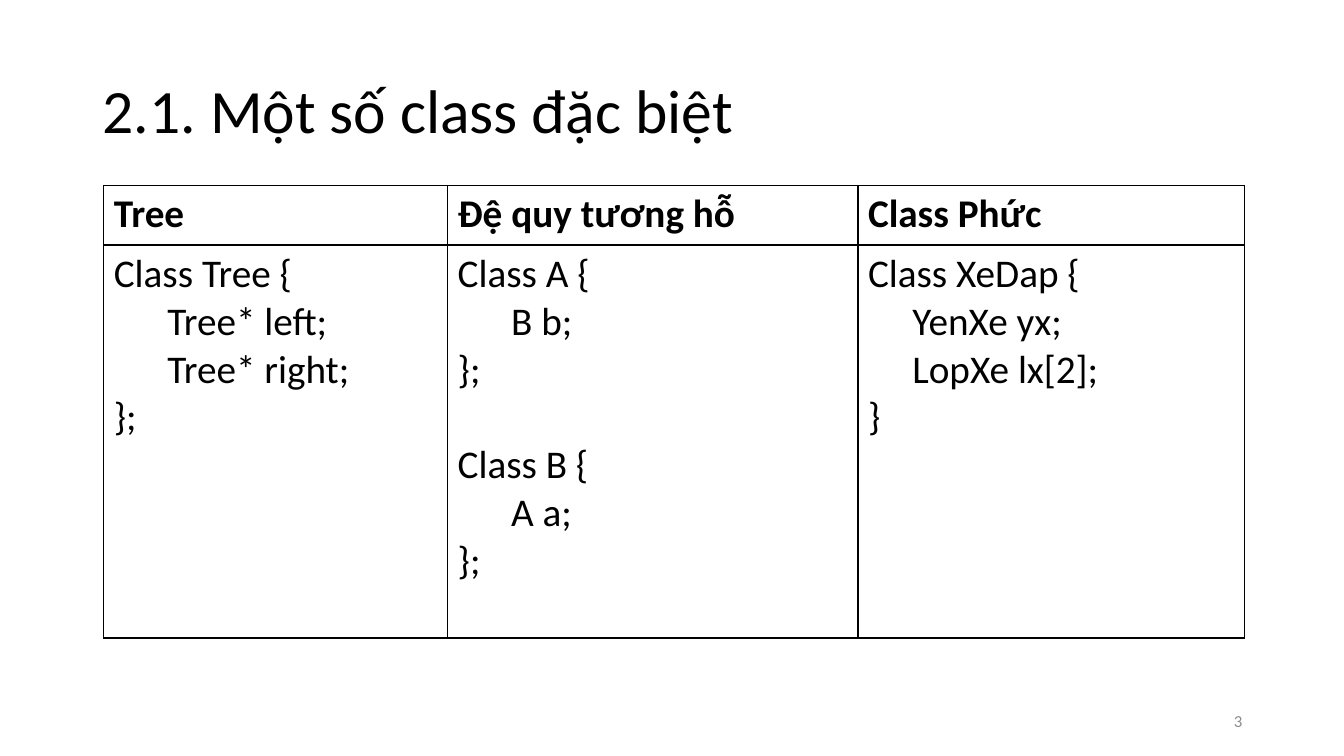
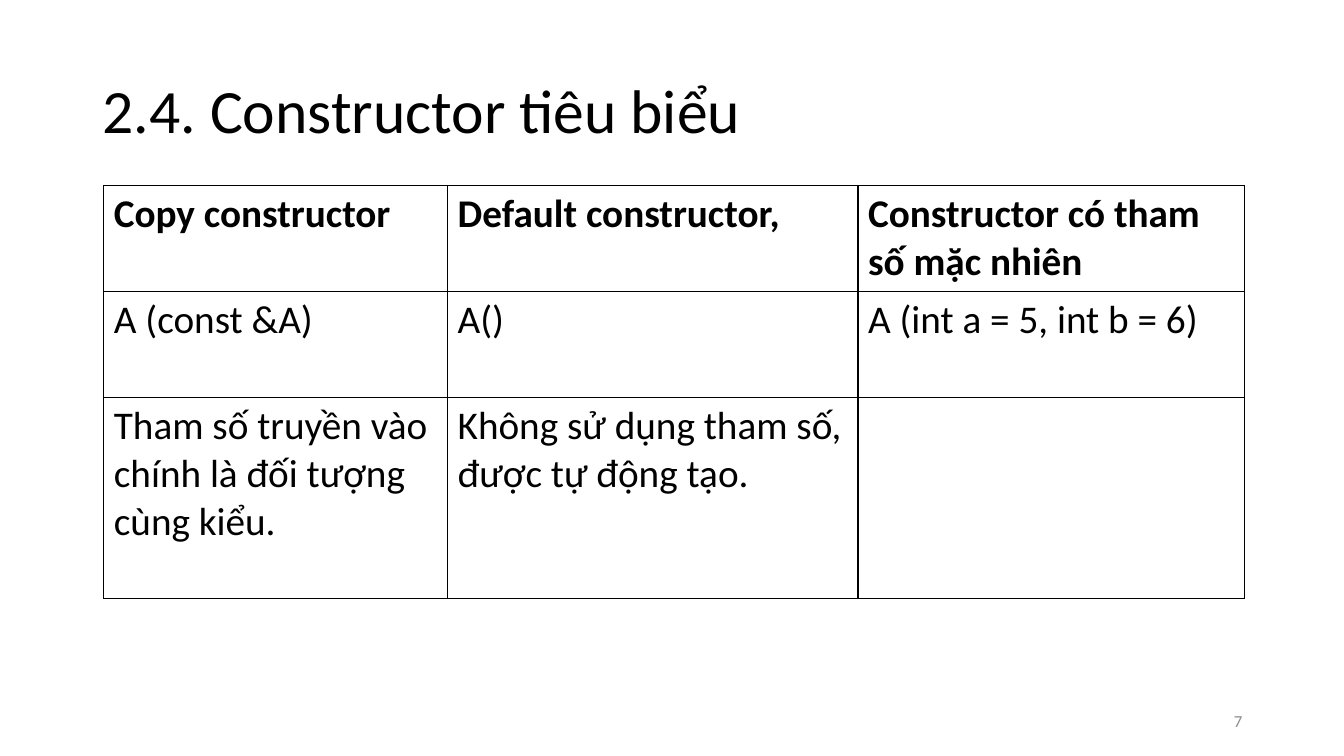
from collections import namedtuple

from lxml import etree
from pptx import Presentation
from pptx.dml.color import RGBColor
from pptx.enum.text import MSO_ANCHOR as ANCHOR, PP_ALIGN as ALIGN
from pptx.oxml.ns import qn
from pptx.util import Inches, Pt

# Shared style
FONT = "Calibri"
BLACK, GRAY = "000000", "8C8C8C"
TITLE_BOX = (0.92, 0.4, 11.5, 1.45)
NUMBER_BOX = (9.42, 6.95, 3, 0.4)
TABLE_LEFT, TABLE_TOP = 1.03, 1.84
COL_WIDTHS = (3.41, 4.07, 3.83)
CELL_SIZE = 28
BLANK_LINE = 34  # points
BORDER = 1

# Code text: a tab opens an indented line, an empty line makes a gap
Code = namedtuple("Code", "text indent")

CLASS_ROWS = [
    ("Tree", "Đệ quy tương hỗ", "Class Phức"),
    (
        Code("Class Tree {\n\tTree* left;\n\tTree* right;\n};", 0.53),
        Code("Class A {\n\tB b;\n};\n\nClass B {\n\tA a;\n};", 0.53),
        Code("Class XeDap {\n\tYenXe yx;\n\tLopXe lx[2];\n}", 0.44),
    ),
]
CONSTRUCTOR_ROWS = [
    ("Copy constructor", "Default constructor,",
     "Constructor có tham số mặc nhiên"),
    ("A (const &A)", "A()", "A (int a = 5, int b = 6)"),
    ("Tham số truyền vào chính là đối tượng cùng kiểu.",
     "Không sử dụng tham số, được tự động tạo.", ""),
]


def rgb(color):
    return RGBColor.from_string(color)


def format_runs(p, size, color=BLACK, bold=False):
    for r in p.runs:
        r.font.name = FONT
        r.font.size = Pt(size)
        r.font.bold = bold
        r.font.color.rgb = rgb(color)


def add_text(slide, box, text, size, color=BLACK, align=ALIGN.LEFT, spacing=1.0):
    tf = slide.shapes.add_textbox(*map(Inches, box)).text_frame
    tf.word_wrap = True
    tf.vertical_anchor = ANCHOR.MIDDLE
    tf.text = text
    p = tf.paragraphs[0]
    p.alignment = align
    p.line_spacing = spacing
    format_runs(p, size, color)


def set_borders(cell):
    tc_pr = cell._tc.get_or_add_tcPr()
    for i, side in enumerate(("lnL", "lnR", "lnT", "lnB")):
        ln = etree.Element(qn(f"a:{side}"), w=str(Pt(BORDER)))
        fill = etree.SubElement(ln, qn("a:solidFill"))
        etree.SubElement(fill, qn("a:srgbClr"), val=BLACK)
        tc_pr.insert(i, ln)


def fill_code(tf, code):
    lines = code.text.split("\n")
    tf.text = "\n".join(line.strip() for line in lines if line)
    shown = [i for i, line in enumerate(lines) if line]
    for p, i in zip(tf.paragraphs, shown):
        if lines[i].startswith("\t"):
            p._p.get_or_add_pPr().set("marL", str(Inches(code.indent)))
        if i and not lines[i - 1]:
            p.space_before = Pt(BLANK_LINE)


def fill_cell(cell, content, bold):
    cell.fill.background()
    set_borders(cell)
    tf = cell.text_frame
    if isinstance(content, Code):
        fill_code(tf, content)
    else:
        tf.text = content
    for p in tf.paragraphs:
        format_runs(p, CELL_SIZE, bold=bold)


def add_grid(slide, rows, heights):
    box = (TABLE_LEFT, TABLE_TOP, sum(COL_WIDTHS), sum(heights))
    table = slide.shapes.add_table(
        len(rows), len(COL_WIDTHS), *map(Inches, box)).table
    table.first_row = table.horz_banding = False
    for column, width in zip(table.columns, COL_WIDTHS):
        column.width = Inches(width)
    for i, (row, height) in enumerate(zip(rows, heights)):
        table.rows[i].height = Inches(height)
        for j, content in enumerate(row):
            fill_cell(table.cell(i, j), content, bold=i == 0)


def add_slide(prs, title, number, rows, heights):
    slide = prs.slides.add_slide(prs.slide_layouts[6])
    add_text(slide, TITLE_BOX, title, 44, spacing=0.9)
    add_text(slide, NUMBER_BOX, str(number), 12, GRAY, ALIGN.RIGHT)
    add_grid(slide, rows, heights)


def main():
    prs = Presentation()
    prs.slide_width, prs.slide_height = Inches(13.33), Inches(7.5)
    add_slide(prs, "2.1. Một số class đặc biệt", 3, CLASS_ROWS, (0.59, 3.9))
    add_slide(prs, "2.4. Constructor tiêu biểu", 7, CONSTRUCTOR_ROWS,
              (1.05, 1.05, 2.0))
    prs.save("out.pptx")


if __name__ == "__main__":
    main()
